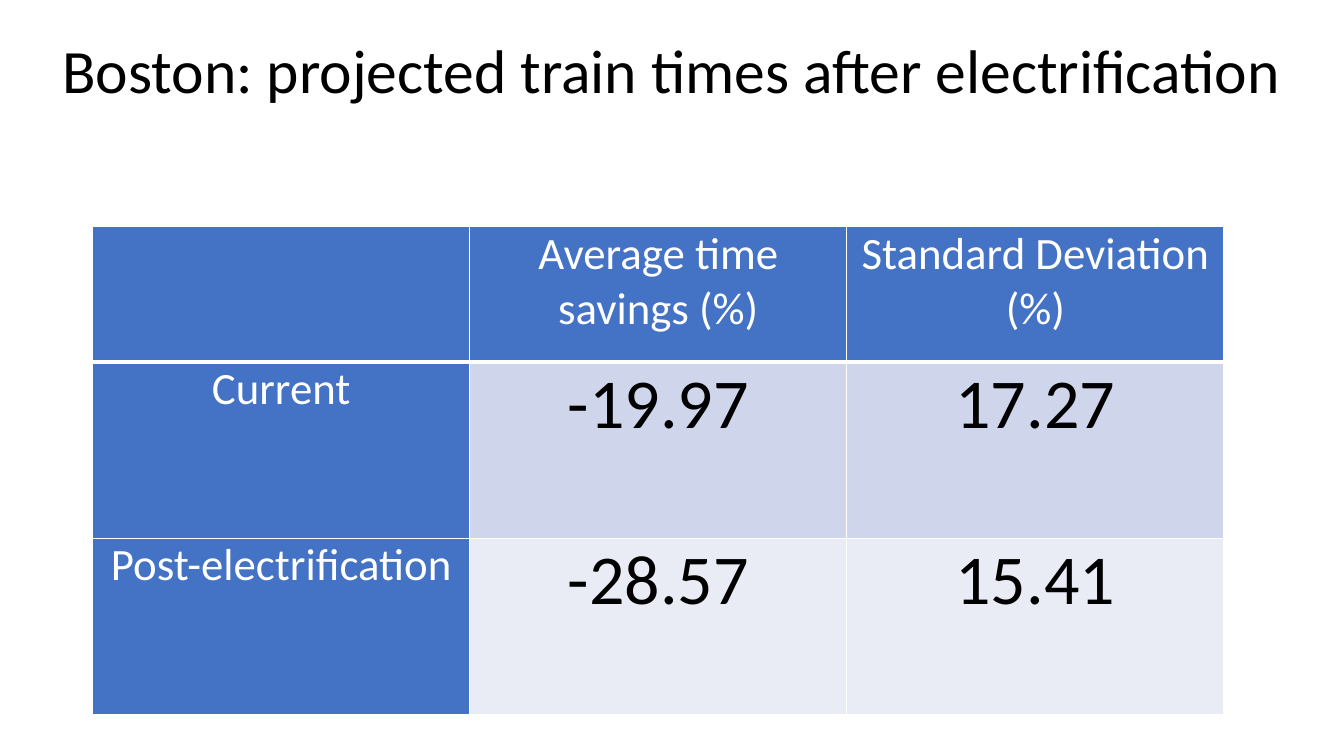
from lxml import etree
from pptx import Presentation
from pptx.dml.color import RGBColor
from pptx.enum.text import MSO_ANCHOR, PP_ALIGN
from pptx.oxml.ns import qn
from pptx.util import Inches, Pt

CENTER = PP_ALIGN.CENTER
MIDDLE = MSO_ANCHOR.MIDDLE
BLACK = RGBColor(0x00, 0x00, 0x00)
WHITE = RGBColor(0xFF, 0xFF, 0xFF)
BLUE = RGBColor(0x44, 0x72, 0xC4)
BANDS = [RGBColor(0xCF, 0xD5, 0xEA), RGBColor(0xE9, 0xEB, 0xF5)]
FONT = "Calibri"

# Content
TITLE = "Boston: projected train times after electrification"
ROWS = [
    ("", "Average time savings (%)", "Standard Deviation (%)"),
    ("Current", "-19.97", "17.27"),
    ("Post-electrification", "-28.57", "15.41"),
]
LEFT, TOP, COL_WIDTH = 0.92, 2.25, 3.74
ROW_HEIGHTS = [1.34, 1.75, 1.75]


def add_text(p, text, size, color):
    p.alignment = CENTER
    r = p.add_run()
    r.text = text
    r.font.name, r.font.size, r.font.color.rgb = FONT, Pt(size), color


def set_borders(cell, bottom):
    tcPr = cell._tc.get_or_add_tcPr()
    for side, width in (("L", 1), ("R", 1), ("T", 1), ("B", bottom)):
        ln = etree.SubElement(tcPr, qn(f"a:ln{side}"), w=str(Pt(width)))
        fill = etree.SubElement(ln, qn("a:solidFill"))
        etree.SubElement(fill, qn("a:srgbClr"), val=str(WHITE))


prs = Presentation()
prs.slide_width, prs.slide_height = Inches(13.33), Inches(7.5)
s = prs.slides.add_slide(prs.slide_layouts[5])

# Title across the full width
title = s.shapes.title
title.left, title.top = Inches(0), Inches(0)
title.width, title.height = prs.slide_width, Inches(1.45)
tf = title.text_frame
tf.vertical_anchor = MIDDLE
tf.word_wrap = True
p = tf.paragraphs[0]
p.line_spacing = 0.9
add_text(p, TITLE, 44, BLACK)

# Table: blue header row and first column, banded values
table = s.shapes.add_table(
    len(ROWS), len(ROWS[0]), Inches(LEFT), Inches(TOP),
    Inches(COL_WIDTH * len(ROWS[0])), Inches(sum(ROW_HEIGHTS))).table
table.first_col = True
for col in table.columns:
    col.width = Inches(COL_WIDTH)
for i, (row, height) in enumerate(zip(ROWS, ROW_HEIGHTS)):
    table.rows[i].height = Inches(height)
    for j, text in enumerate(row):
        cell = table.cell(i, j)
        is_label = i == 0 or j == 0
        set_borders(cell, 3 if i == 0 else 1)
        cell.fill.solid()
        cell.fill.fore_color.rgb = BLUE if is_label else BANDS[(i - 1) % 2]
        cell.margin_left = cell.margin_right = Inches(0.07)
        cell.margin_top = cell.margin_bottom = Inches(0)
        if text:
            p = cell.text_frame.paragraphs[0]
            add_text(p, text, 32 if is_label else 50, WHITE if is_label else BLACK)
            p.runs[0].font.bold = False

prs.save("out.pptx")
